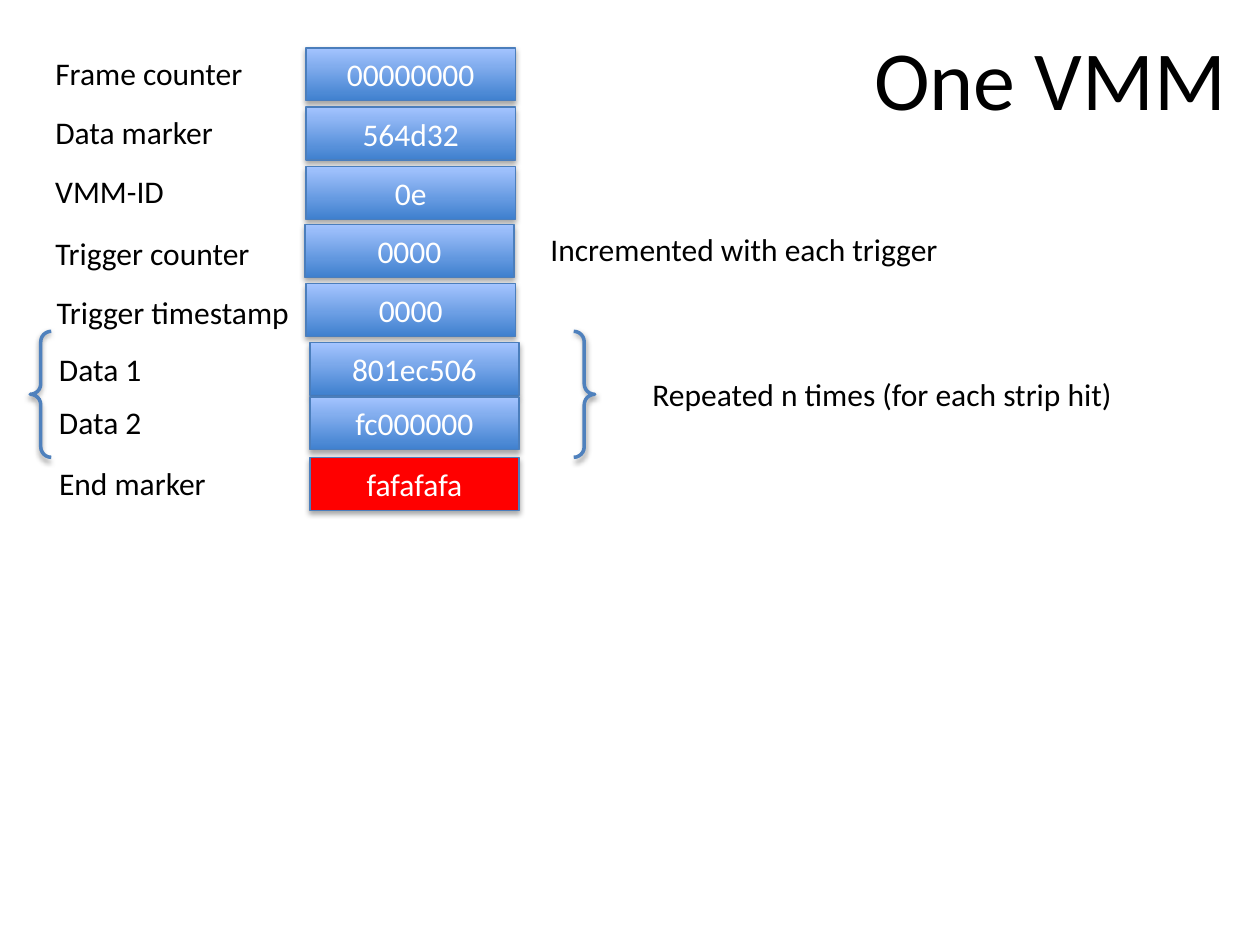
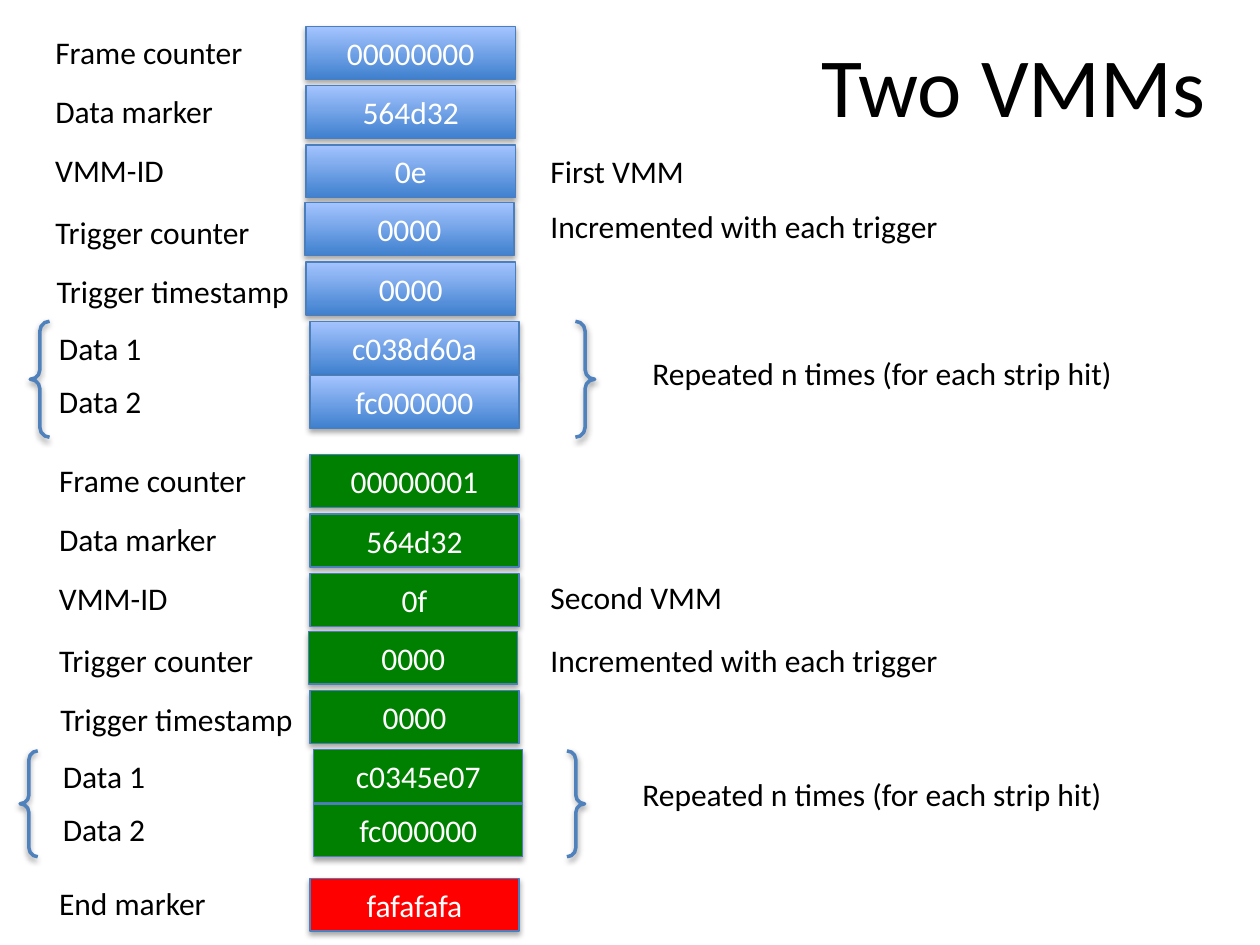
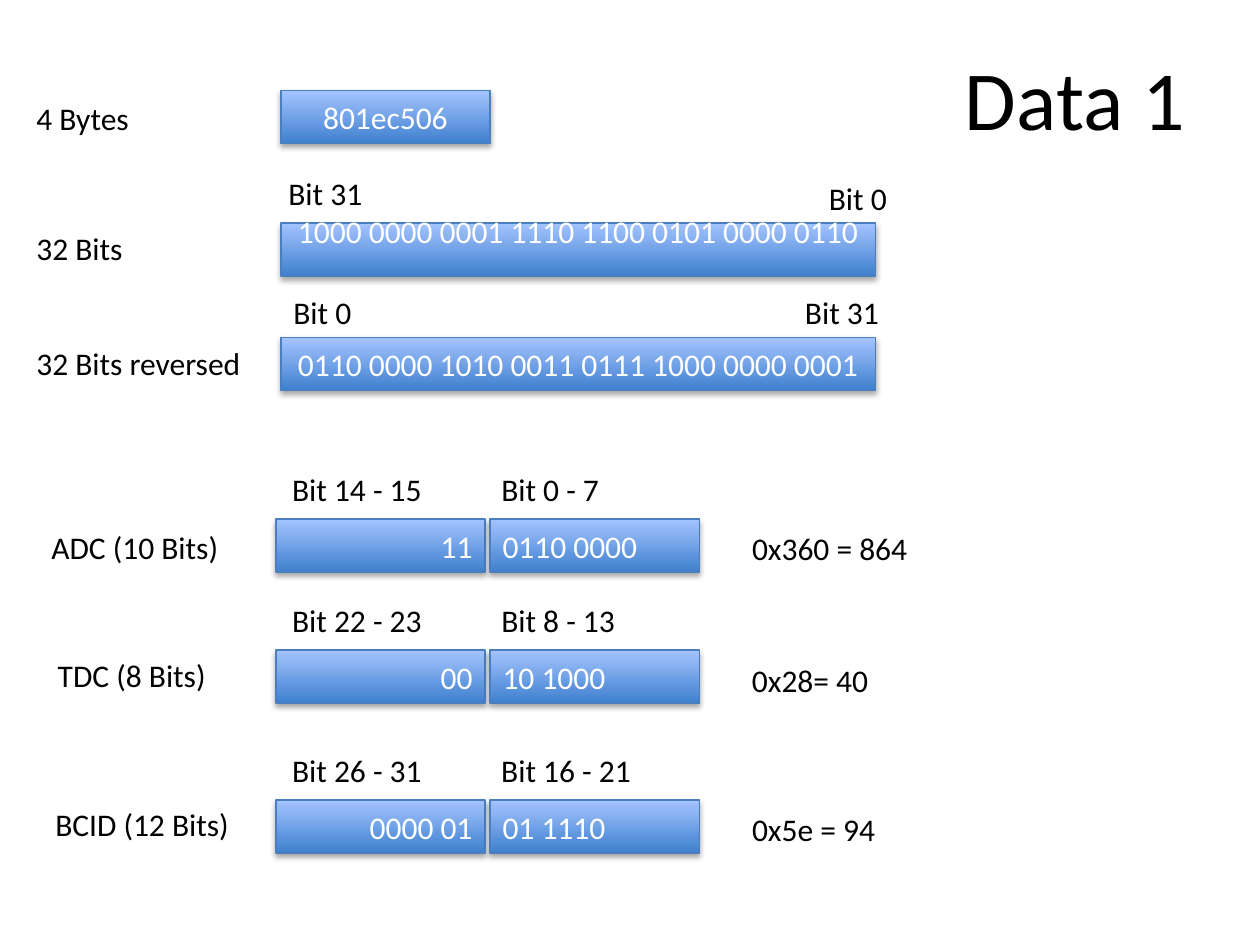
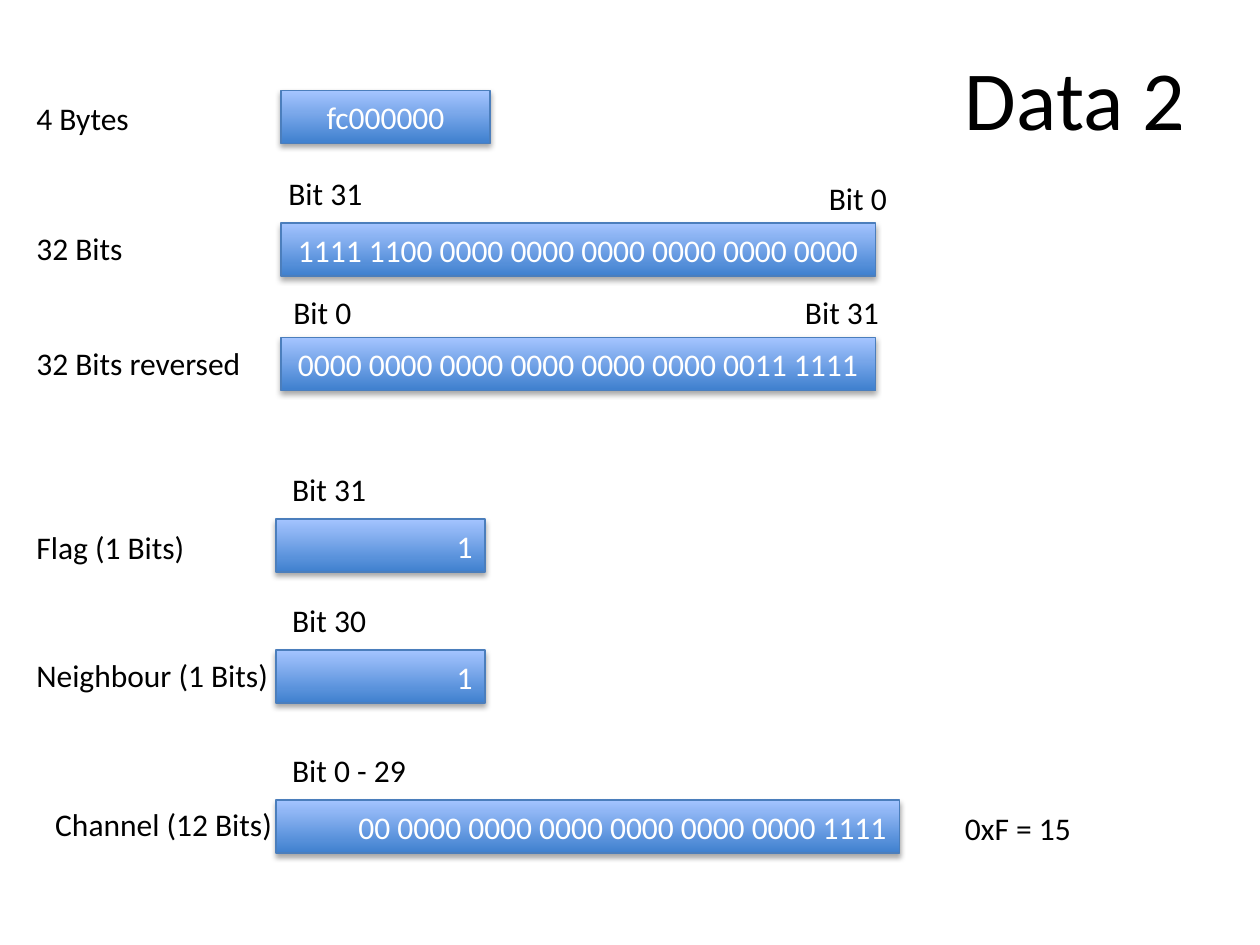
import dataclasses
import typing

import lxml.etree
import pptx
import pptx.dml.color
import pptx.enum.shapes
import pptx.enum.text
import pptx.oxml.ns
import pptx.shapes.autoshape
import pptx.slide
import pptx.util

EMU_PER_PX = 9144  # 100 px to the inch
LEFT = pptx.enum.text.PP_ALIGN.LEFT
CENTER = pptx.enum.text.PP_ALIGN.CENTER
RIGHT = pptx.enum.text.PP_ALIGN.RIGHT


@dataclasses.dataclass(frozen=True)
class Theme:
    font: str = "Calibri"
    body_size: int = 18
    title_size: int = 48
    ink: str = "000000"
    box_ink: str = "FFFFFF"
    blue_bottom: str = "3F80CE"
    blue_top: str = "A4C4FF"
    green: str = "008000"
    red: str = "FF0000"
    box_line: str = "4B7EBC"
    brace_line: str = "4F81BD"
    shadow: str = "000000"


THEME = Theme()
BOX_WIDTH, BOX_HEIGHT = 166, 42
LABEL_HEIGHT, TITLE_HEIGHT = 40, 91


class Label(typing.NamedTuple):
    text: str
    left: int
    top: int
    width: int


class Box(typing.NamedTuple):
    text: str
    left: int
    top: int
    width: int = BOX_WIDTH
    align: pptx.enum.text.PP_ALIGN = CENTER
    fill: str | None = None  # None gives the blue gradient
    lift: int = 0  # extra bottom inset that raises the text


class Brace(typing.NamedTuple):
    left: int
    top: int
    height: int
    width: int = 448


class Field(typing.NamedTuple):
    """One row of a packet, placed relative to the packet's top."""
    name: str
    name_left: int
    name_width: int
    box_left: int
    offset: int
    name_drop: int = 0


class Part(typing.NamedTuple):
    caption: str
    caption_width: int
    bits: str
    box_width: int = BOX_WIDTH


class Value(typing.NamedTuple):
    """A value decoded from one or two parts of a data word."""
    name: Label
    high: Part
    low: Part | None = None
    result: Label | None = None


FIELDS = (
    Field("Frame counter", 34, 172, 243, 0),
    Field("Data marker", 34, 148, 243, 47),
    Field("VMM-ID", 34, 107, 243, 94),
    Field("Trigger counter", 34, 178, 242, 140, 3),
    Field("Trigger timestamp", 35, 209, 243, 187, 3),
    Field("Data 1", 37, 87, 246, 234, 1),
    Field("Data 2", 37, 87, 246, 277),
)
VALUE_TOPS = (412, 516, 635)


def px(length: int) -> pptx.util.Emu:
    return pptx.util.Emu(length * EMU_PER_PX)


def rgb(color: str) -> pptx.dml.color.RGBColor:
    return pptx.dml.color.RGBColor.from_string(color)


def write(frame: typing.Any, text: str, size: int, color: str,
          align: pptx.enum.text.PP_ALIGN = LEFT) -> None:
    para = frame.paragraphs[0]
    para.text = text
    para.alignment = align
    para.font.name = THEME.font
    para.font.size = pptx.util.Pt(size)
    para.font.color.rgb = rgb(color)


def cast_shadow(shape: pptx.shapes.autoshape.Shape, distance: int, opacity: int) -> None:
    """Add a soft shadow below the shape; distance is in EMU, opacity in percent."""
    shape.shadow.inherit = False
    qn = pptx.oxml.ns.qn
    effects = shape.element.spPr.find(qn("a:effectLst"))
    outer = lxml.etree.SubElement(
        effects, qn("a:outerShdw"), blurRad="40000", dist=str(distance),
        dir="5400000", rotWithShape="0")
    color = lxml.etree.SubElement(outer, qn("a:srgbClr"), val=THEME.shadow)
    lxml.etree.SubElement(color, qn("a:alpha"), val=str(opacity * 1000))


def draw_label(page: pptx.slide.Slide, label: Label, height: int = LABEL_HEIGHT,
               size: int = THEME.body_size) -> None:
    shape = page.shapes.add_textbox(
        px(label.left), px(label.top), px(label.width), px(height))
    frame = shape.text_frame
    frame.word_wrap = False
    frame.auto_size = pptx.enum.text.MSO_AUTO_SIZE.SHAPE_TO_FIT_TEXT
    write(frame, label.text, size, THEME.ink)


def draw_title(page: pptx.slide.Slide, title: Label) -> None:
    draw_label(page, title, TITLE_HEIGHT, THEME.title_size)


def draw_box(page: pptx.slide.Slide, box: Box) -> None:
    shape = page.shapes.add_shape(
        pptx.enum.shapes.MSO_SHAPE.RECTANGLE,
        px(box.left), px(box.top), px(box.width), px(BOX_HEIGHT))
    if box.fill:
        shape.fill.solid()
        shape.fill.fore_color.rgb = rgb(box.fill)
    else:
        shape.fill.gradient()
        shape.fill.gradient_angle = 90
        for stop, color in zip(shape.fill.gradient_stops,
                               (THEME.blue_bottom, THEME.blue_top)):
            stop.color.rgb = rgb(color)
    shape.line.color.rgb = rgb(THEME.box_line)
    shape.line.width = pptx.util.Pt(0.75)
    cast_shadow(shape, 23000, 35)
    frame = shape.text_frame
    frame.vertical_anchor = pptx.enum.text.MSO_ANCHOR.MIDDLE
    frame.margin_bottom += px(box.lift)
    write(frame, box.text, THEME.body_size, THEME.box_ink, box.align)


def draw_brace(page: pptx.slide.Slide, brace: Brace) -> None:
    shape = page.shapes.add_shape(
        pptx.enum.shapes.MSO_SHAPE.DOUBLE_BRACE,
        px(brace.left), px(brace.top), px(brace.width), px(brace.height))
    shape.fill.background()
    shape.line.color.rgb = rgb(THEME.brace_line)
    shape.line.width = pptx.util.Pt(2)
    cast_shadow(shape, 20000, 38)


def draw_packet(page: pptx.slide.Slide, top: int, contents: typing.Sequence[str],
                shift: int = 0, fill: str | None = None) -> None:
    for field, content in zip(FIELDS, contents):
        row_top = top + field.offset
        draw_box(page, Box(content, field.box_left + shift, row_top, fill=fill))
        draw_label(page, Label(field.name, field.name_left + shift,
                               row_top + field.name_drop, field.name_width))


def draw_repeat(page: pptx.slide.Slide, brace: Brace, note_top: int) -> None:
    draw_brace(page, brace)
    draw_label(page, Label("Repeated n times (for each strip hit)",
                           brace.left + 484, note_top, 390))


def draw_trigger_note(page: pptx.slide.Slide, top: int) -> None:
    draw_label(page, Label("Incremented with each trigger", 427, top, 332))


def draw_end_marker(page: pptx.slide.Slide, top: int) -> None:
    draw_box(page, Box("fafafafa", 246, top, fill=THEME.red))
    draw_label(page, Label("End marker", 37, top, 139))


def draw_part(page: pptx.slide.Slide, part: Part, box_left: int, caption_left: int,
              top: int, align: pptx.enum.text.PP_ALIGN) -> None:
    draw_box(page, Box(part.bits, box_left, top, part.box_width, align))
    draw_label(page, Label(part.caption, caption_left, top - 44, part.caption_width))


def draw_data_word(page: pptx.slide.Slide, title: str, word: str, bits: Box,
                   reversed_bits: str, values: typing.Sequence[Value]) -> None:
    draw_title(page, Label(title, 756, 32, 198))
    draw_box(page, Box(word, 223, 72))
    draw_box(page, bits)
    draw_box(page, Box(reversed_bits, 223, 268, 472))
    for label in (
        Label("4 Bytes", 19, 74, 95),
        Label("32 Bits", 19, 177, 89),
        Label("32 Bits reversed", 19, 268, 185),
        Label("Bit 31", 219, 133, 79),
        Label("Bit 0", 648, 137, 67),
        Label("Bit 0", 223, 228, 67),
        Label("Bit 31", 629, 228, 79),
    ):
        draw_label(page, label)
    for top, value in zip(VALUE_TOPS, values):
        draw_label(page, value.name)
        draw_part(page, value.high, 219, 222, top, RIGHT)
        if value.low:
            draw_part(page, value.low, 389, 388, top, LEFT)
        if value.result:
            draw_label(page, value.result)


def draw_one_vmm(page: pptx.slide.Slide) -> None:
    draw_packet(page, 38, ("00000000", "564d32", "0e", "0000", "0000",
                           "801ec506", "fc000000"))
    draw_repeat(page, Brace(24, 263, 100), 293)
    draw_end_marker(page, 363)
    draw_trigger_note(page, 178)
    draw_title(page, Label("One VMM", 684, 16, 302))


def draw_two_vmms(page: pptx.slide.Slide) -> None:
    draw_packet(page, 21, ("00000000", "564d32", "0e", "0000", "0000",
                           "c038d60a", "fc000000"))
    draw_repeat(page, Brace(24, 255, 92), 276)
    draw_end_marker(page, 697)
    draw_packet(page, 361, ("00000001", "564d32", "0f", "0000", "0000",
                            "c0345e07", "fc000000"), 3, THEME.green)
    draw_repeat(page, Brace(16, 596, 84), 610)
    draw_trigger_note(page, 159)
    draw_trigger_note(page, 504)
    draw_label(page, Label("First VMM", 427, 116, 128))
    draw_label(page, Label("Second VMM", 427, 454, 158))
    draw_title(page, Label("Two VMMs", 642, 22, 331))


def draw_data_1(page: pptx.slide.Slide) -> None:
    draw_data_word(
        page, "Data 1", "801ec506",
        Box("1000 0000 0001 1110 1100 0101 0000 0110", 223, 177, 472, lift=30),
        "0110 0000 1010 0011 0111 1000 0000 0001",
        (
            Value(Label("ADC (10 Bits)", 31, 414, 154),
                  Part("Bit 14 - 15", 124, "11"), Part("Bit 0 - 7", 99, "0110 0000"),
                  Label("0x360 = 864", 587, 415, 145)),
            Value(Label("TDC (8 Bits)", 36, 516, 139),
                  Part("Bit 22 - 23", 124, "00"), Part("Bit 8 - 13", 111, "10 1000"),
                  Label("0x28= 40", 587, 520, 113)),
            Value(Label("BCID (12 Bits)", 34, 634, 159),
                  Part("Bit 26 - 31", 124, "0000 01"), Part("Bit 16 - 21", 124, "01 1110"),
                  Label("0x5e = 94", 587, 638, 119)),
        ))


def draw_data_2(page: pptx.slide.Slide) -> None:
    draw_data_word(
        page, "Data 2", "fc000000",
        Box("1111 1100 0000 0000 0000 0000 0000 0000", 223, 177, 472),
        "0000 0000 0000 0000 0000 0000 0011 1111",
        (
            Value(Label("Flag (1 Bits)", 19, 414, 139), Part("Bit 31", 79, "1")),
            Value(Label("Neighbour (1 Bits)", 19, 516, 206), Part("Bit 30", 79, "1")),
            Value(Label("Channel (12 Bits)", 34, 634, 194),
                  Part("Bit 0 - 29", 111, "00 0000 0000 0000 0000 0000 0000 1111", 495),
                  result=Label("0xF = 15", 756, 637, 105)),
        ))


def main() -> None:
    deck = pptx.Presentation()
    deck.slide_width, deck.slide_height = px(1000), px(750)
    blank = deck.slide_layouts[6]
    for draw_page in (draw_one_vmm, draw_two_vmms, draw_data_1, draw_data_2):
        draw_page(deck.slides.add_slide(blank))
    deck.save("out.pptx")


if __name__ == "__main__":
    main()
